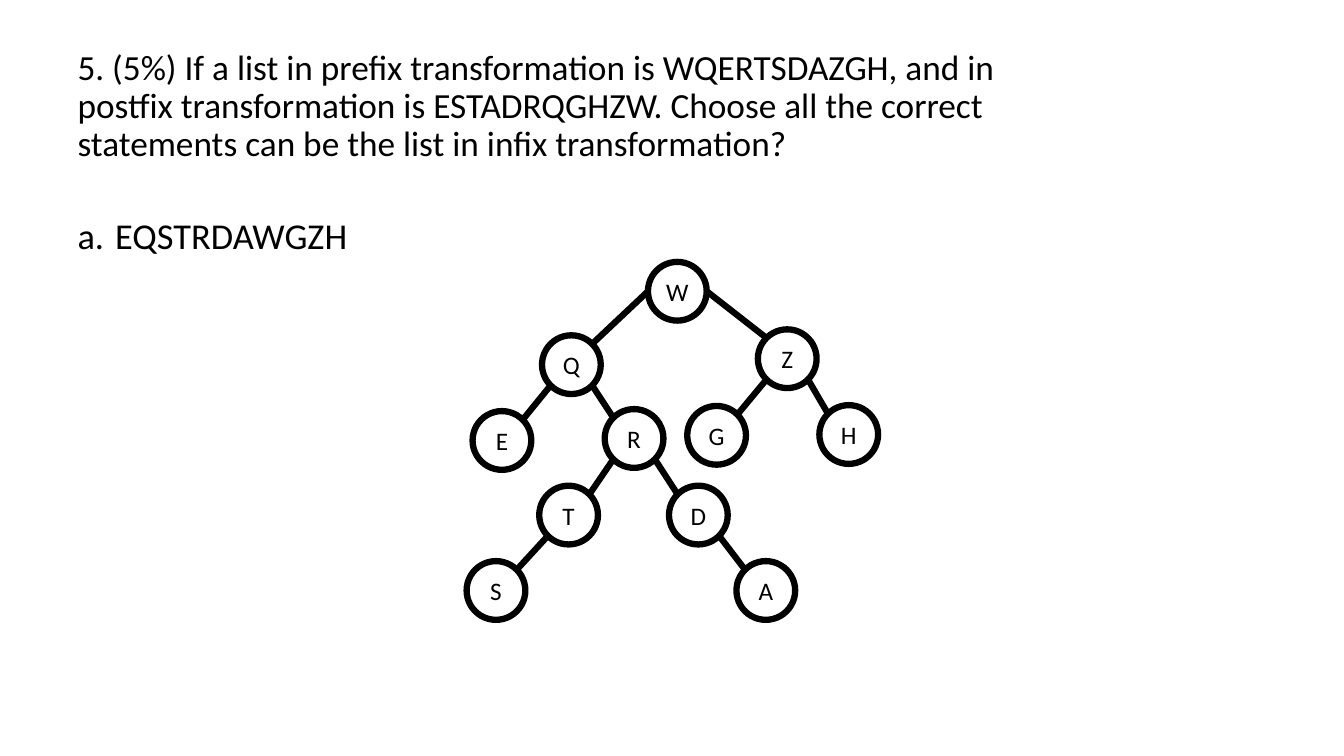
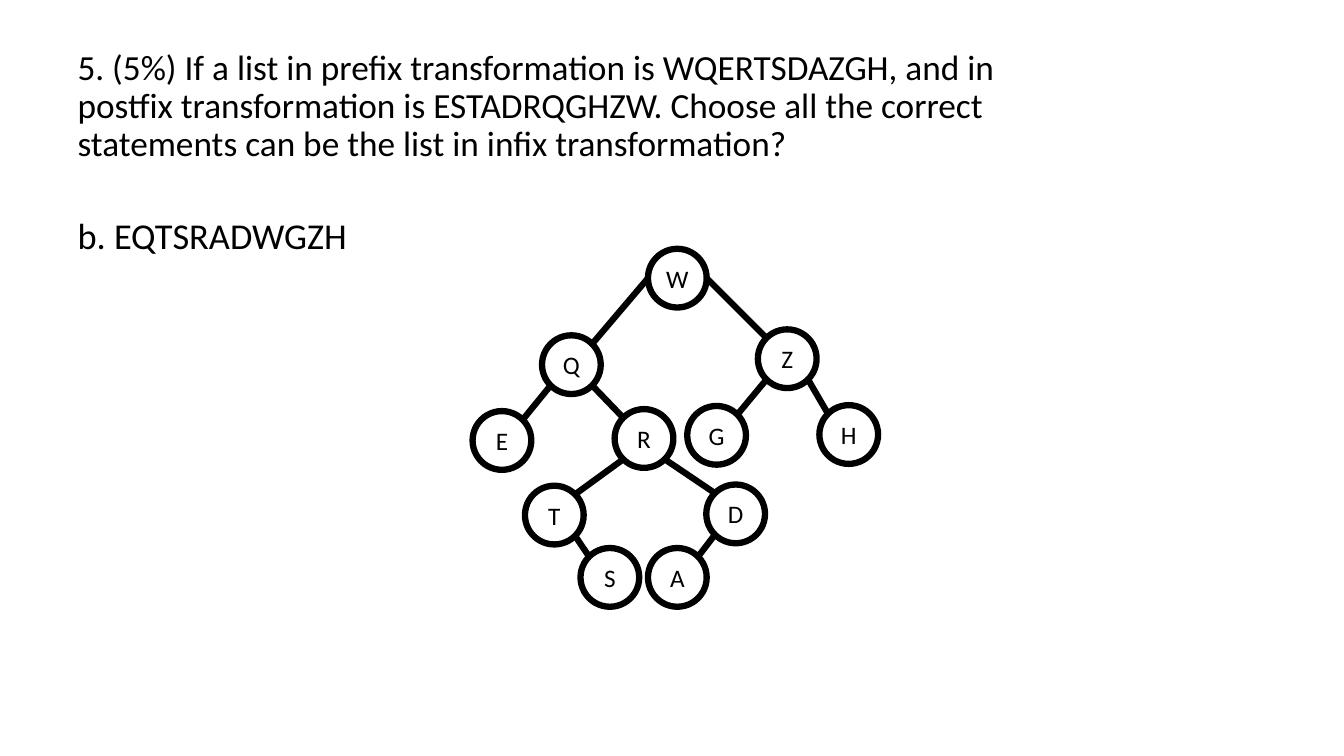
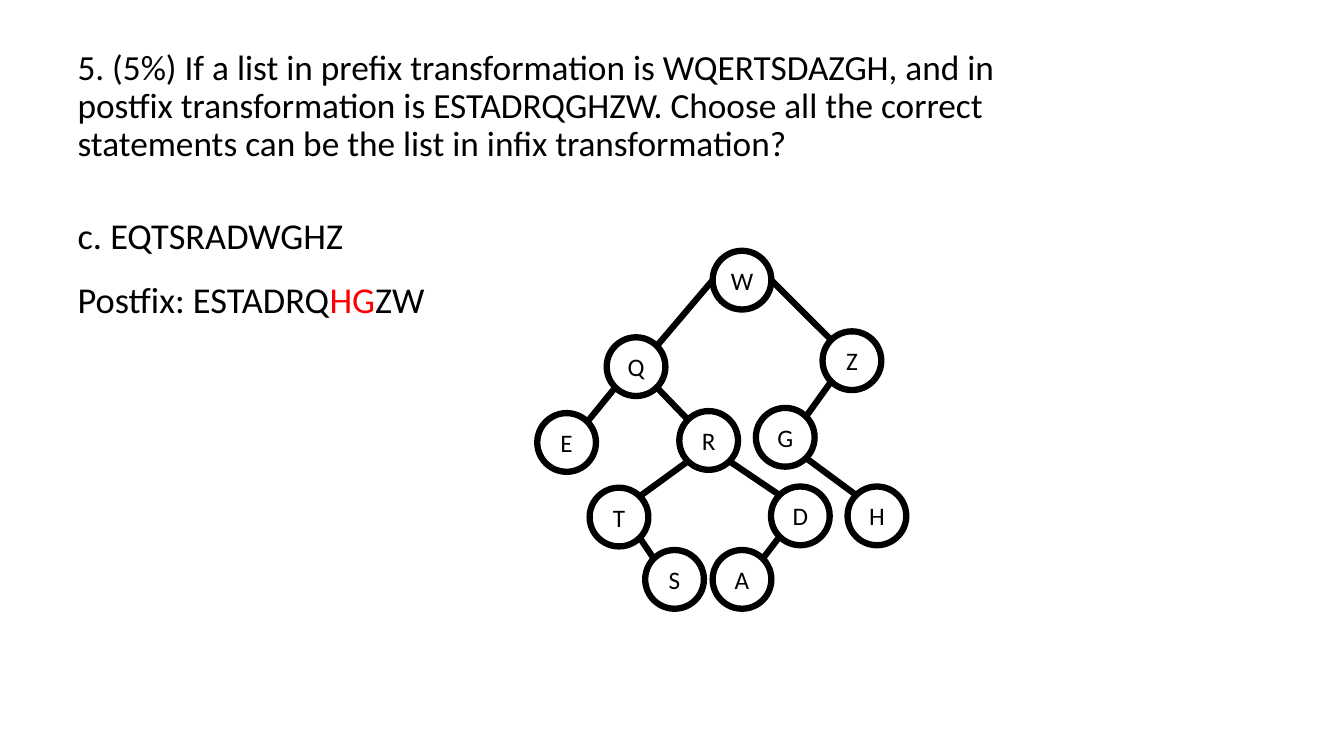
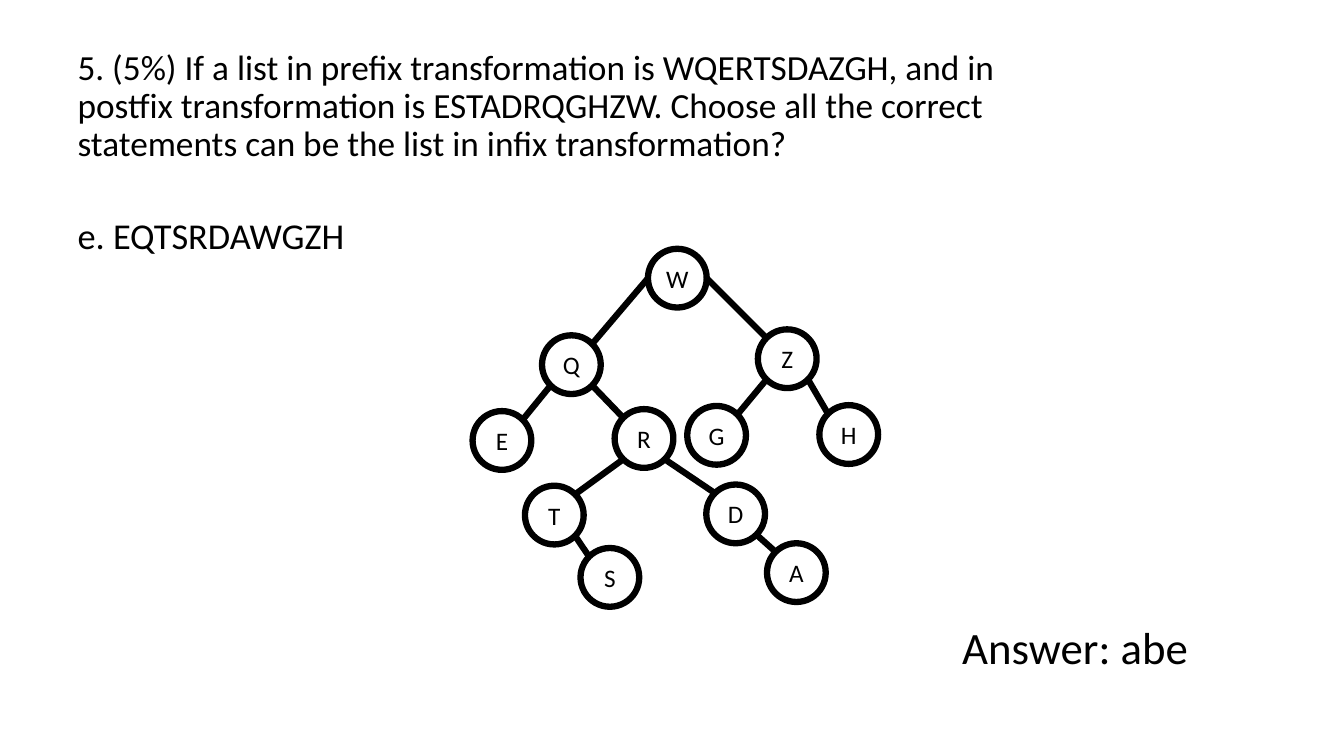
from dataclasses import dataclass
from math import sqrt

from lxml.etree import SubElement
from pptx import Presentation
from pptx.dml.color import RGBColor
from pptx.enum.shapes import MSO_CONNECTOR, MSO_SHAPE
from pptx.enum.text import MSO_ANCHOR, MSO_AUTO_SIZE, PP_ALIGN
from pptx.oxml.ns import qn
from pptx.util import Cm, Pt


@dataclass(frozen=True)
class Theme:
    font: str = "Calibri"
    ink: RGBColor = RGBColor(0, 0, 0)
    wrong: RGBColor = RGBColor(255, 0, 0)
    title_size: float = 25.2
    body_size: float = 26
    answer_size: float = 32
    node_size: float = 18
    line_width: float = 4.5


THEME = Theme()
NODE = 1.48  # diameter, cm
DIAGONAL = NODE / 2 / sqrt(2)

QUESTION = (
    "5. (5%) If a list in prefix transformation is WQERTSDAZGH, and in postfix "
    "transformation is ESTADRQGHZW. Choose all the correct statements can be "
    "the list in infix transformation?"
)

# Node centres in cm; each tree changes only what differs from an earlier one.
TREE_A = {
    "W": (17.07, 7.34), "Q": (14.4, 9.19), "Z": (19.84, 9.04),
    "E": (12.65, 11.1), "R": (15.98, 11.05), "G": (18.06, 10.97),
    "H": (21.39, 10.95), "T": (14.33, 12.98), "D": (17.6, 12.98),
    "S": (12.5, 14.88), "A": (19.3, 14.88),
}
TREE_B = TREE_A | {
    "W": (17.07, 7.01), "R": (16.23, 11.05), "T": (13.97, 12.98),
    "D": (18.54, 12.95), "S": (15.37, 14.55), "A": (17.07, 14.55),
}
TREE_C = {
    name: (x + 1.63, y + 0.05)
    for name, (x, y) in (TREE_B | {"G": (18.16, 10.97), "H": (20.47, 12.95)}).items()
}
TREE_E = TREE_B | {"A": (20.07, 14.43)}

EDGES = ["WQ", "WZ", "QE", "QR", "RT", "RD", "TS", "DA", "ZG", "ZH"]
EDGES_C = EDGES[:-1] + ["GH"]

# Each line of text is a list of (words, colour) spans.
POSTFIX = [("Postfix: ESTADRQ", THEME.ink), ("HG", THEME.wrong), ("ZW", THEME.ink)]
PAGES = [
    {"lines": [[("EQSTRDAWGZH", THEME.ink)]], "numbered": True,
     "tree": TREE_A, "edges": EDGES},
    {"lines": [[("b. EQTSRADWGZH", THEME.ink)]], "tree": TREE_B, "edges": EDGES},
    {"lines": [[("c. EQTSRADWGHZ", THEME.ink)], POSTFIX], "width": 10.34,
     "tree": TREE_C, "edges": EDGES_C},
    {"lines": [[("e. EQTSRDAWGZH", THEME.ink)]], "tree": TREE_E, "edges": EDGES,
     "answer": "Answer: abe"},
]


def write(para, text, *, size, color=THEME.ink, align=PP_ALIGN.LEFT,
          spacing=None, before=0, after=0):
    """Append a span to a paragraph and format both."""
    para.alignment = align
    para.line_spacing = spacing
    para.space_before, para.space_after = Pt(before), Pt(after)
    span = para.add_run()
    span.text = text
    span.font.name = THEME.font
    span.font.size = Pt(size)
    span.font.color.rgb = color


def place(box, left, top, width, height):
    box.left, box.top, box.width, box.height = map(Cm, (left, top, width, height))
    box.text_frame.word_wrap = True
    box.text_frame.auto_size = MSO_AUTO_SIZE.NONE


deck = Presentation()
deck.slide_width, deck.slide_height = Cm(33.87), Cm(19.05)

for content in PAGES:
    page = deck.slides.add_slide(deck.slide_layouts[1])

    title = page.shapes.title
    place(title, 1.7, 2.44, 26.14, 1.47)
    title.text_frame.vertical_anchor = MSO_ANCHOR.MIDDLE
    title.text_frame.margin_bottom = Cm(1.1)
    write(title.text_frame.paragraphs[0], QUESTION, size=THEME.title_size, spacing=0.9)

    body = page.placeholders[1]
    place(body, 1.7, 5.36, content.get("width", 7.37), 13.5)
    for index, line in enumerate(content["lines"]):
        frame = body.text_frame
        para = frame.add_paragraph() if index else frame.paragraphs[0]
        for words, color in line:
            write(para, words, size=THEME.body_size, color=color,
                  spacing=0.9, before=10, after=8)
        settings = para._p.get_or_add_pPr()
        hanging = Cm(0.95) if content.get("numbered") else 0
        settings.set("marL", str(hanging))
        settings.set("indent", str(-hanging))
        if hanging:
            SubElement(settings, qn("a:buFont"), typeface="+mj-lt")
            SubElement(settings, qn("a:buAutoNum"), type="alphaLcPeriod")
        else:
            SubElement(settings, qn("a:buNone"))

    tree = content["tree"]
    for parent, child in content["edges"]:
        (x1, y1), (x2, y2) = tree[parent], tree[child]
        side = 1 if x2 > x1 else -1
        if parent == "W":
            start = x1 + side * NODE / 2, y1
        else:
            start = x1 + side * DIAGONAL, y1 + DIAGONAL
        end = x2 - side * DIAGONAL, y2 - DIAGONAL
        branch = page.shapes.add_connector(MSO_CONNECTOR.STRAIGHT, *map(Cm, start + end))
        branch.line.color.rgb = THEME.ink
        branch.line.width = Pt(THEME.line_width)
        SubElement(branch._element.spPr, qn("a:effectLst"))

    for name, (x, y) in tree.items():
        node = page.shapes.add_shape(
            MSO_SHAPE.OVAL, Cm(x - NODE / 2), Cm(y - NODE / 2), Cm(NODE), Cm(NODE))
        node.shadow.inherit = False
        node.fill.background()
        node.line.color.rgb = THEME.ink
        node.line.width = Pt(THEME.line_width)
        frame = node.text_frame
        frame.margin_left = frame.margin_right = 0
        frame.vertical_anchor = MSO_ANCHOR.MIDDLE
        write(frame.paragraphs[0], name, size=THEME.node_size, align=PP_ALIGN.CENTER)

    if "answer" in content:
        answer = page.shapes.add_textbox(0, 0, 0, 0)
        place(answer, 24, 15.49, 7.95, 1.63)
        write(answer.text_frame.paragraphs[0], content["answer"],
              size=THEME.answer_size, after=8)

deck.save("out.pptx")
